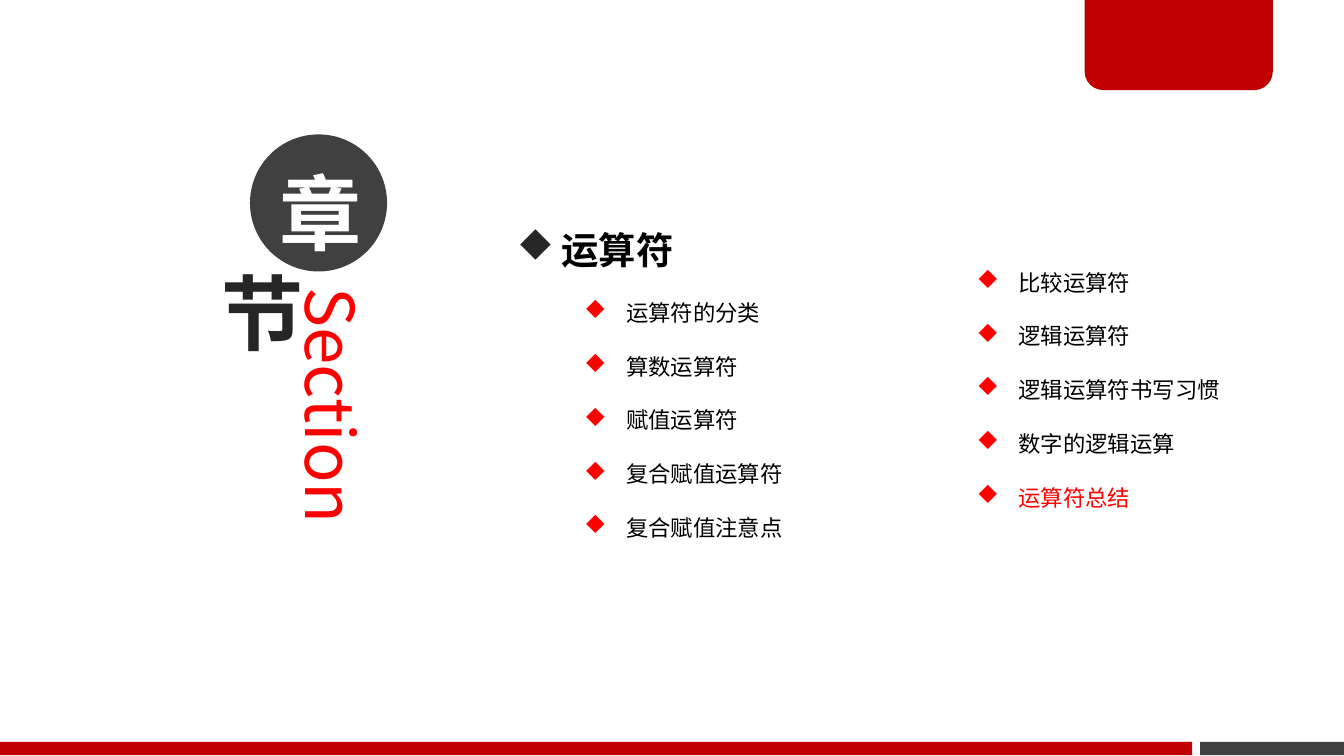
"""Builds a section slide that lists the operator topics."""
from lxml import etree
from pptx import Presentation
from pptx.dml.color import RGBColor
from pptx.enum import shapes, text
from pptx.oxml import ns
from pptx.util import Inches, Pt

FONT = "Noto Sans CJK SC"
COLORS = {"red": "C00000", "bright": "FF0000", "grey": "404040",
          "dark": "262626", "black": "000000", "white": "FFFFFF"}
BASICS = ["运算符的分类", "算数运算符", "赋值运算符", "复合赋值运算符", "复合赋值注意点"]
LOGIC = ["比较运算符", "逻辑运算符", "逻辑运算符书写习惯", "数字的逻辑运算"]


def rgb(name):
    return RGBColor.from_string(COLORS[name])


def add_block(s, kind, x, y, w, h, fill=None):
    sp = s.shapes.add_shape(kind, Inches(x), Inches(y), Inches(w), Inches(h))
    sp.shadow.inherit = False
    sp.line.fill.background()
    if fill:
        sp.fill.solid()
        sp.fill.fore_color.rgb = rgb(fill)
    else:
        sp.fill.background()
    return sp


def add_box(s, x, y, w, h):
    sp = s.shapes.add_textbox(Inches(x), Inches(y), Inches(w), Inches(h))
    sp.text_frame.word_wrap = True
    return sp.text_frame


def set_margins(tf, bottom=0.04):
    tf.margin_left = tf.margin_right = Inches(0.07)
    tf.margin_top, tf.margin_bottom = Inches(0.04), Inches(bottom)


def add_bullet(p, color, left, hanging):
    pPr = p._p.get_or_add_pPr()
    pPr.set("marL", str(Inches(left)))
    pPr.set("indent", str(-Inches(hanging)))
    clr = etree.SubElement(pPr, ns.qn("a:buClr"))
    etree.SubElement(clr, ns.qn("a:srgbClr"), val=COLORS[color])
    etree.SubElement(pPr, ns.qn("a:buFont"), typeface="Wingdings", charset="2")
    etree.SubElement(pPr, ns.qn("a:buChar"), char="u")


def write(tf, words, size=12, color="black", bold=False, align=None,
          spacing=None, bullet=None, left=0.81, hanging=0.31, level=0):
    p = tf.add_paragraph() if tf.text else tf.paragraphs[0]
    if bullet:
        add_bullet(p, bullet, left, hanging)
    p.level = level
    p.alignment = align
    if spacing:
        p.line_spacing = Pt(spacing)
    r = p.add_run()
    r.text = words
    r.font.size, r.font.bold, r.font.name = Pt(size), bold, FONT
    r.font.color.rgb = rgb(color)
    etree.SubElement(r._r.get_or_add_rPr(), ns.qn("a:ea"), typeface=FONT)


def add_topic(tf, words, color="black"):
    write(tf, words, color=color, spacing=28.8, bullet="bright", level=1)


def add_badge(s, words, x, y, size, color, fill=None, bottom=0.04, spacing=None):
    sp = add_block(s, shapes.MSO_SHAPE.OVAL, x, y, size, size, fill)
    tf = sp.text_frame
    set_margins(tf, bottom)
    tf.vertical_anchor = text.MSO_ANCHOR.MIDDLE
    write(tf, words, size=44, color=color, bold=True,
          align=text.PP_ALIGN.CENTER, spacing=spacing)


def add_frame(s):
    kinds = shapes.MSO_SHAPE
    add_block(s, kinds.RECTANGLE, 8.93, 5.52, 1.07, 0.1, "grey")
    tab = add_block(s, kinds.ROUND_2_SAME_RECTANGLE, 8.07, -0.02, 1.4, 0.69, "red")
    tab.rotation = 180
    tab.adjustments[0] = 0.2
    add_block(s, kinds.RECTANGLE, 0, 5.52, 8.87, 0.1, "red")


def add_section_label(s):
    tf = add_box(s, 2.14, 2.1, 0.7, 2.89)
    set_margins(tf)
    tf._txBody.bodyPr.set("vert", "vert")
    write(tf, "Section", size=36, color="bright")
    add_badge(s, "章", 1.86, 1, 1.02, "white", "grey", bottom=0.15, spacing=70)
    add_badge(s, "节", 1.46, 1.92, 0.8, "dark")


def add_topics(s):
    tf = add_box(s, 3.75, 1.31, 4.72, 4)
    write(tf, "运算符", size=20, bold=True, spacing=48,
          bullet="dark", left=0.33, hanging=0.33)
    for words in BASICS:
        add_topic(tf, words)
    tf = add_box(s, 6.67, 1.75, 3.3, 2.1)
    for words in LOGIC:
        add_topic(tf, words)
    add_topic(tf, "运算符总结", "bright")


def main():
    prs = Presentation()
    prs.slide_width, prs.slide_height = Inches(10), Inches(10 * 9 / 16)
    s = prs.slides.add_slide(prs.slide_layouts[6])
    add_frame(s)
    add_section_label(s)
    add_topics(s)
    prs.save("out.pptx")


if __name__ == "__main__":
    main()
